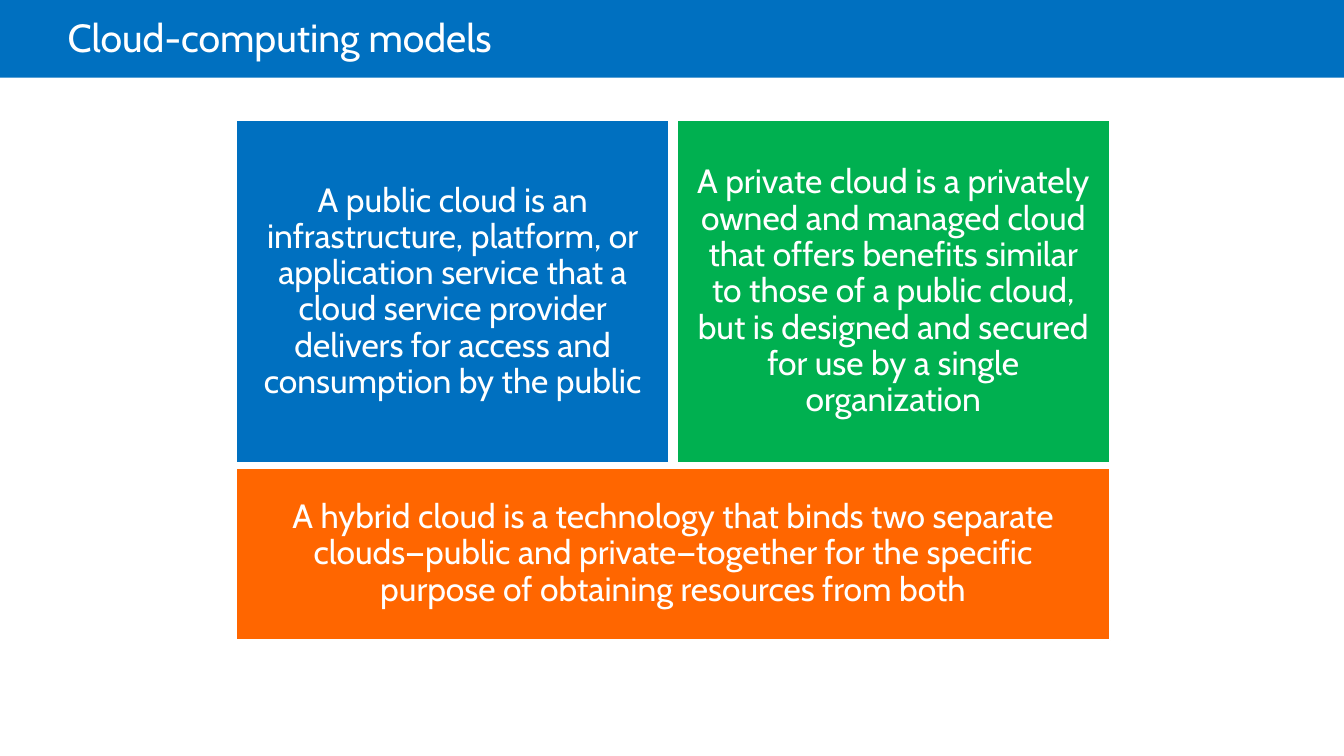
"""Build a slide that compares the public, private and hybrid cloud models."""
from dataclasses import dataclass

from pptx import Presentation
from pptx.dml.color import RGBColor
from pptx.enum.shapes import MSO_SHAPE
from pptx.enum.text import MSO_ANCHOR, PP_ALIGN
from pptx.shapes.autoshape import Shape
from pptx.slide import Slide
from pptx.util import Inches, Pt

COLORS = {
    "white": "FFFFFF",
    "blue": "0070C0",
    "green": "00B050",
    "orange": "FF6600",
}
FONT = "Cabin"
PAGE_WIDTH, PAGE_HEIGHT = 13.33, 7.5
LEFT, TOP = 2.34, 1.19
CARD_WIDTH, CARD_HEIGHT = 4.3, 3.41
COLUMN_GAP, ROW_GAP = 0.07, 0.04
HYBRID_HEIGHT = 1.71


@dataclass(frozen=True)
class Card:
    left: float
    top: float
    width: float
    height: float
    color: str
    text: str


CARDS = [
    Card(LEFT, TOP + CARD_HEIGHT + ROW_GAP, 2 * CARD_WIDTH + COLUMN_GAP, HYBRID_HEIGHT, "orange",
         "A hybrid cloud is a technology that binds two separate clouds—public and "
         "private—together for the specific purpose of obtaining resources from both"),
    Card(LEFT, TOP, CARD_WIDTH, CARD_HEIGHT, "blue",
         "A public cloud is an infrastructure, platform, or application service that a "
         "cloud service provider delivers for access and consumption by the public"),
    Card(LEFT + CARD_WIDTH + COLUMN_GAP, TOP, CARD_WIDTH, CARD_HEIGHT, "green",
         "A private cloud is a privately owned and managed cloud that offers benefits "
         "similar to those of a public cloud, but is designed and secured for use by a "
         "single organization"),
]


def color(name: str) -> RGBColor:
    return RGBColor.from_string(COLORS[name])


def write_text(box: Shape, text: str, *, size: float, align: PP_ALIGN, spacing: float,
               margins: tuple[float, float, float, float]) -> None:
    frame = box.text_frame
    frame.word_wrap = True
    frame.vertical_anchor = MSO_ANCHOR.MIDDLE
    (frame.margin_left, frame.margin_top,
     frame.margin_right, frame.margin_bottom) = map(Inches, margins)
    para = frame.paragraphs[0]
    para.alignment = align
    para.line_spacing = spacing
    span = para.add_run()
    span.text = text
    span.font.name = FONT
    span.font.size = Pt(size)
    span.font.color.rgb = color("white")


def add_block(page: Slide, left: float, top: float, width: float, height: float,
              fill: str) -> Shape:
    box = page.shapes.add_shape(MSO_SHAPE.RECTANGLE, *map(Inches, (left, top, width, height)))
    box.shadow.inherit = False
    box.fill.solid()
    box.fill.fore_color.rgb = color(fill)
    box.line.fill.background()
    return box


def add_header(page: Slide, text: str) -> None:
    add_block(page, 0, 0, PAGE_WIDTH, 0.77, "blue")
    box = page.shapes.add_textbox(*map(Inches, (0.67, 0, 11.34, 0.81)))
    write_text(box, text, size=28, align=PP_ALIGN.LEFT, spacing=0.85,
               margins=(0, 0.05, 0.1, 0.05))


def add_card(page: Slide, card: Card) -> None:
    box = add_block(page, card.left, card.top, card.width, card.height, card.color)
    box.line.color.rgb = color("white")
    box.line.width = Pt(2)
    write_text(box, card.text, size=24, align=PP_ALIGN.CENTER, spacing=0.9,
               margins=(0.2, 0.15, 0.2, 0.15))


def main() -> None:
    deck = Presentation()
    deck.slide_width, deck.slide_height = Inches(PAGE_WIDTH), Inches(PAGE_HEIGHT)
    page = deck.slides.add_slide(deck.slide_layouts[6])
    add_header(page, "Cloud-computing models")
    for card in CARDS:
        add_card(page, card)
    deck.save("out.pptx")


if __name__ == "__main__":
    main()
